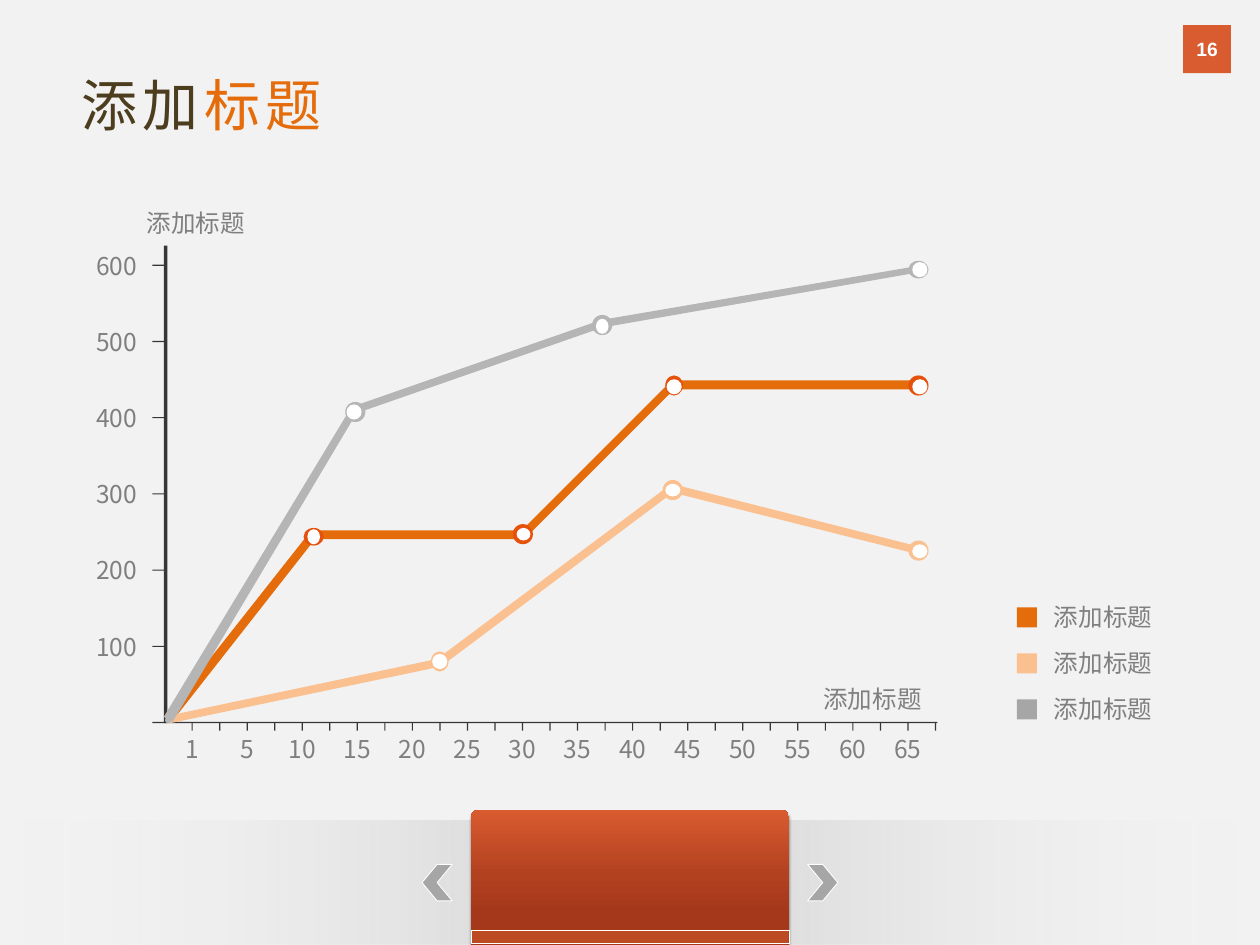
from typing import NamedTuple

from lxml.etree import SubElement
from pptx import Presentation
from pptx.dml.color import RGBColor
from pptx.enum.shapes import MSO_SHAPE
from pptx.enum.text import MSO_ANCHOR, MSO_AUTO_SIZE, PP_ALIGN
from pptx.oxml.ns import qn
from pptx.util import Emu, Inches, Pt

COLUMNS, ROWS = 10, 7.5
CELL = Inches(1)
FONT = "Noto Sans CJK SC"
LABEL = "添加标题"
COLORS = {
    "page": "F2F2F2", "band": "BFBFBF", "white": "FFFFFF", "black": "000000",
    "gray": "A6A6A6", "text": "7F7F7F", "title": "4C3D1E", "axis": "383634",
    "orange": "E46C0A", "peach": "FAC090", "silver": "B5B5B6", "ring": "E6510B",
    "tab": "D95B30", "tab_mid": "B24120", "tab_dark": "A5381B", "tab_foot": "BC4A22",
}


class Box(NamedTuple):
    """Left, top, width and height in cells of the page grid."""
    left: float
    top: float
    width: float
    height: float


class Stop(NamedTuple):
    percent: int
    color: str
    alpha: int = 100


class Ribbon(NamedTuple):
    color: str
    corners: list[tuple[float, float]]


class Marker(NamedTuple):
    color: str
    ring: Box
    center: Box


RIBBONS = [
    Ribbon("orange", [(1.37, 5.72), (1.31, 5.68), (2.47, 4.21), (4.14, 4.21), (5.33, 3.02),
                      (7.29, 3.02), (7.29, 3.09), (5.35, 3.09), (4.16, 4.28), (2.5, 4.28)]),
    Ribbon("peach", [(1.35, 5.74), (1.34, 5.68), (3.47, 5.23), (5.33, 3.84), (7.3, 4.34),
                     (7.29, 4.4), (5.34, 3.91), (3.5, 5.29)]),
    Ribbon("silver", [(1.37, 5.73), (1.3, 5.69), (2.79, 3.23), (4.77, 2.54), (7.29, 2.11),
                      (7.3, 2.16), (4.78, 2.6), (2.83, 3.28)]),
]
MARKERS = [
    Marker("silver", Box(2.74, 3.19, 0.16, 0.16), Box(2.75, 3.21, 0.12, 0.12)),
    Marker("ring", Box(2.41, 4.19, 0.16, 0.14), Box(2.44, 4.2, 0.1, 0.12)),
    Marker("peach", Box(3.42, 5.17, 0.14, 0.16), Box(3.43, 5.19, 0.12, 0.12)),
    Marker("peach", Box(7.21, 4.29, 0.16, 0.16), Box(7.24, 4.32, 0.12, 0.11)),
    Marker("ring", Box(7.21, 2.98, 0.16, 0.16), Box(7.24, 3.01, 0.12, 0.12)),
    Marker("silver", Box(7.21, 2.07, 0.16, 0.14), Box(7.24, 2.08, 0.12, 0.12)),
    Marker("ring", Box(4.07, 4.16, 0.16, 0.16), Box(4.1, 4.19, 0.11, 0.1)),
    Marker("peach", Box(5.26, 3.81, 0.16, 0.16), Box(5.28, 3.84, 0.12, 0.1)),
    Marker("ring", Box(5.28, 2.98, 0.14, 0.16), Box(5.29, 3.01, 0.12, 0.12)),
    Marker("silver", Box(4.7, 2.5, 0.16, 0.16), Box(4.73, 2.53, 0.1, 0.12)),
]


def cells(count: float) -> Emu:
    return Emu(round(count * CELL))


def rgb(name: str) -> RGBColor:
    return RGBColor.from_string(COLORS[name])


def value_top(hundreds: int) -> float:
    return 5.73 - 0.605 * hundreds


def tick_left(index: int) -> float:
    return 1.52 + 0.2185 * index


def paint(shape, color: str, line: str = "", width: float = 0) -> None:
    shape.shadow.inherit = False
    shape.fill.solid()
    shape.fill.fore_color.rgb = rgb(color)
    if line:
        shape.line.color.rgb = rgb(line)
        shape.line.width = Pt(width)
    else:
        shape.line.fill.background()


def add_block(shapes, kind: MSO_SHAPE, place: Box, color: str, line: str = "", width: float = 0):
    shape = shapes.add_shape(kind, *map(cells, place))
    paint(shape, color, line, width)
    return shape


def add_color(parent, name: str, alpha: int) -> None:
    color = SubElement(parent, qn("a:srgbClr"), val=COLORS[name])
    if alpha < 100:
        SubElement(color, qn("a:alpha"), val=str(alpha * 1000))


def set_gradient(shape, stops: list[Stop], angle: int) -> None:
    """Give the shape a linear gradient; the angle runs clockwise in degrees."""
    shape.fill.gradient()
    gradient = shape.element.spPr.find(qn("a:gradFill"))
    for child in list(gradient):
        gradient.remove(child)
    stop_list = SubElement(gradient, qn("a:gsLst"))
    for stop in stops:
        add_color(SubElement(stop_list, qn("a:gs"), pos=str(stop.percent * 1000)), stop.color, stop.alpha)
    SubElement(gradient, qn("a:lin"), ang=str(angle * 60000), scaled="0")


def add_text(shapes, place: Box, text: str):
    box = shapes.add_textbox(*map(cells, place))
    frame = box.text_frame
    frame.word_wrap = True
    frame.auto_size = MSO_AUTO_SIZE.SHAPE_TO_FIT_TEXT
    frame.text = text
    frame.paragraphs[0].alignment = PP_ALIGN.CENTER
    style(frame.paragraphs[0].runs[0], 14, "text")
    return box


def style(span, size: float, color: str, font: str = FONT) -> None:
    span.font.size = Pt(size)
    span.font.name = font
    span.font.color.rgb = rgb(color)
    properties = span.font._element
    SubElement(properties, qn("a:ea"), typeface=font)


def draw_footer(shapes) -> None:
    band = add_block(shapes, MSO_SHAPE.RECTANGLE, Box(0, 6.51, COLUMNS, 0.99), "band")
    set_gradient(band, [Stop(0, "page", 0), Stop(50, "band", 65), Stop(100, "page", 0)], 180)
    for left in (6.41, 3.35):
        arrow = add_block(shapes, MSO_SHAPE.CHEVRON, Box(left, 6.86, 0.24, 0.29), "gray", "white", 0.5)
        if left < COLUMNS / 2:
            arrow.element.spPr.find(qn("a:xfrm")).set("flipH", "1")
    tab = add_block(shapes, MSO_SHAPE.ROUNDED_RECTANGLE, Box(3.74, 6.43, 2.52, 1.26), "tab")
    tab.adjustments[0] = 0.039
    set_gradient(tab, [Stop(36, "tab_dark"), Stop(59, "tab_mid"), Stop(100, "tab")], 270)
    effects = tab.element.spPr.find(qn("a:effectLst"))
    shadow = SubElement(effects, qn("a:outerShdw"), blurRad=str(Pt(1.5)), dist=str(Pt(2)),
                        dir=str(90 * 60000), rotWithShape="0")
    add_color(shadow, "black", 40)


def draw_page_number(shapes) -> None:
    badge = add_block(shapes, MSO_SHAPE.RECTANGLE, Box(9.39, 0.2, 0.38, 0.38), "tab")
    frame = badge.text_frame
    frame.margin_left = frame.margin_right = 0
    frame.vertical_anchor = MSO_ANCHOR.MIDDLE
    frame.text = "16"
    para = frame.paragraphs[0]
    para.alignment = PP_ALIGN.CENTER
    style(para.runs[0], 11, "white", "Arial")
    para.runs[0].font.bold = True


def draw_title(shapes) -> None:
    para = add_text(shapes, Box(0.55, 0.51, 2.27, 0.64), "添加").text_frame.paragraphs[0]
    para.alignment = PP_ALIGN.LEFT
    para.add_run().text = "标题"
    for span, color in zip(para.runs, ("title", "orange")):
        style(span, 32, color) if span.font.size is None else None
        span.font.size = Pt(32)
        span.font.color.rgb = rgb(color)
        span.font._element.set("spc", "300")


def draw_plot(shapes) -> None:
    plot = shapes.add_group_shape().shapes
    bars = [Box(1.3, 1.95, 0.03, 3.79), Box(1.31, 5.73, 6.13, 0.01)]
    bars += [Box(1.21, value_top(row), 0.1, 0.01) for row in range(7)]
    bars += [Box(tick_left(index), 5.74, 0.01, 0.06) for index in range(28)]
    for bar in bars:
        add_block(plot, MSO_SHAPE.RECTANGLE, bar, "axis")
    for ribbon in RIBBONS:
        start, *others = [(cells(x), cells(y)) for x, y in ribbon.corners]
        builder = plot.build_freeform(*start)
        builder.add_line_segments(others, close=True)
        paint(builder.convert_to_shape(), ribbon.color)
    for marker in MARKERS:
        add_block(plot, MSO_SHAPE.OVAL, marker.ring, marker.color)
        add_block(plot, MSO_SHAPE.OVAL, marker.center, "white")
    add_block(plot, MSO_SHAPE.OVAL, Box(1.31, 5.69, 0.05, 0.05), "silver")


def draw_labels(shapes) -> None:
    for left, top in ((1.01, 1.6), (6.38, 5.38)):
        add_text(shapes, Box(left, top, 1.09, 0.34), LABEL)
    for row in range(1, 7):
        add_text(shapes, Box(0.59, value_top(row) - 0.16, 0.67, 0.34), str(row * 100))
    for index, value in enumerate([1, *range(5, 70, 5)]):
        add_text(shapes, Box(tick_left(2 * index) - 0.32, 5.78, 0.65, 0.34), str(value))
    for row, color in enumerate(("orange", "peach", "gray")):
        top = 4.82 + 0.365 * row
        add_block(shapes, MSO_SHAPE.RECTANGLE, Box(8.07, top, 0.16, 0.16), color)
        add_text(shapes, Box(8.21, top - 0.09, 1.09, 0.34), LABEL)


def main() -> None:
    deck = Presentation()
    deck.slide_width, deck.slide_height = cells(COLUMNS), cells(ROWS)
    page = deck.slides.add_slide(deck.slide_layouts[6])
    page.background.fill.solid()
    page.background.fill.fore_color.rgb = rgb("page")
    draw_footer(page.shapes)
    draw_page_number(page.shapes)
    add_block(page.shapes, MSO_SHAPE.RECTANGLE, Box(3.74, 7.38, 2.52, 0.11), "tab_foot", "white", 0.25)
    draw_title(page.shapes)
    draw_plot(page.shapes)
    draw_labels(page.shapes)
    deck.save("out.pptx")


if __name__ == "__main__":
    main()
